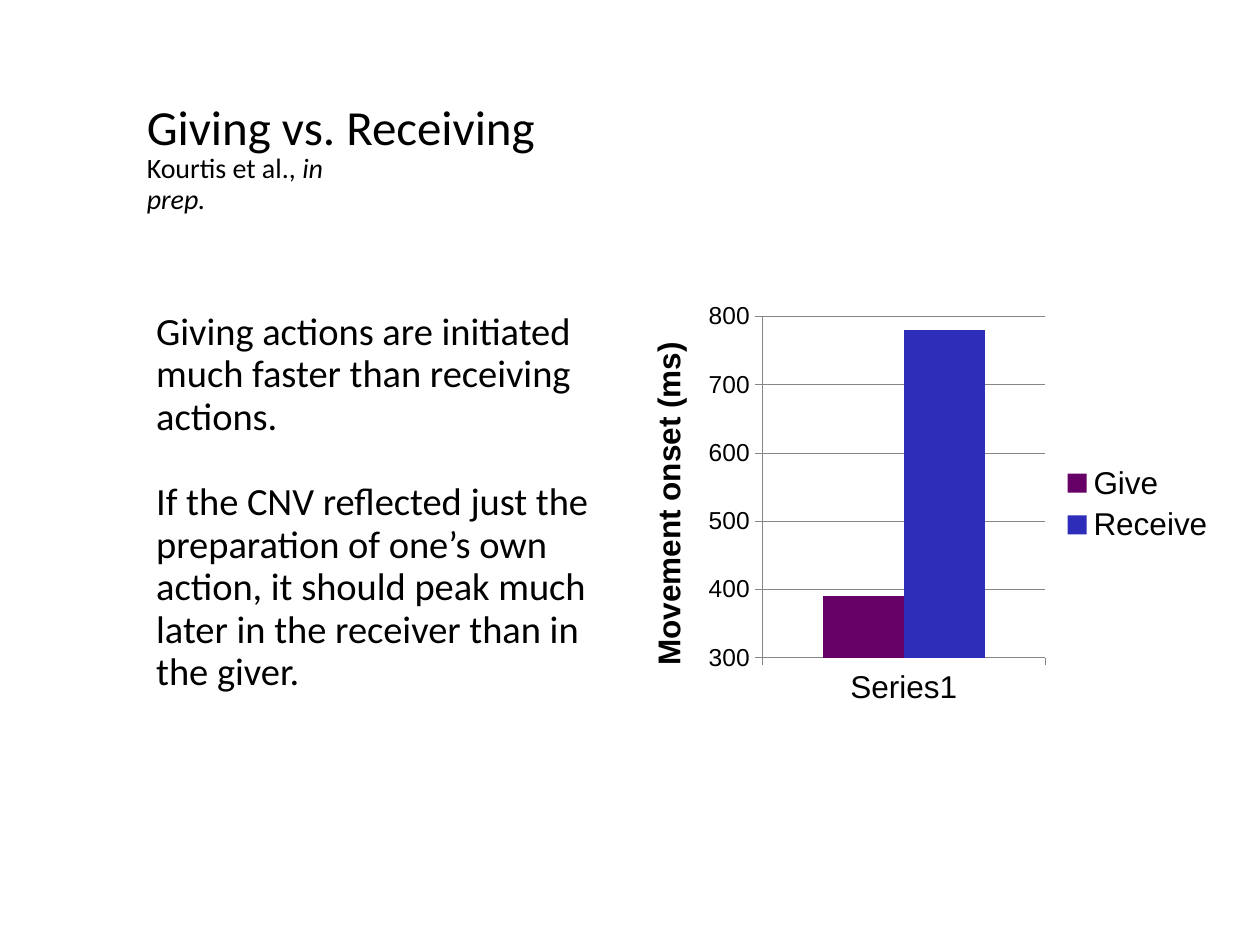
from pptx import Presentation
from pptx.chart.data import CategoryChartData as Data
from pptx.dml.color import RGBColor as Rgb
from pptx.enum.chart import XL_CHART_TYPE as Kind, XL_LEGEND_POSITION as Side, XL_TICK_MARK as Tick
from pptx.enum.text import MSO_ANCHOR as Anchor
from pptx.util import Cm, Pt


def hue(code):
    return Rgb.from_string(code)


class Deck:
    """Holds the style and the current slide, and adds elements to it."""

    face, plot_face = "Calibri", "Arial"
    ink, grid = "000000", "868686"
    lead = 0.92

    def __init__(self, wide, high):
        self.prs = Presentation()
        self.prs.slide_width, self.prs.slide_height = Cm(wide), Cm(high)
        self.slide = self.prs.slides.add_slide(self.prs.slide_layouts[6])

    def style(self, font, size, face, bold=False):
        font.name, font.size, font.bold = face, Pt(size), bold
        font.color.rgb = hue(self.ink)

    def text(self, box, size, paras, anchor=Anchor.TOP, inset=(0, 0), gap=0):
        frame = self.slide.shapes.add_textbox(*map(Cm, box)).text_frame
        frame.word_wrap, frame.vertical_anchor = True, anchor
        frame.margin_left = frame.margin_right = Cm(inset[0])
        frame.margin_top = frame.margin_bottom = Cm(inset[1])
        for i, runs in enumerate(paras):
            para = frame.add_paragraph() if i else frame.paragraphs[0]
            para.line_spacing = self.lead
            if i:
                para.space_before = Pt(gap)
            for words, slant in runs:
                run = para.add_run()
                run.text = words
                self.style(run.font, size, self.face)
                run.font.italic = slant

    def line(self, line):
        line.color.rgb, line.width = hue(self.grid), Pt(0.25)

    def axis(self, axis, size):
        self.style(axis.tick_labels.font, size, self.plot_face)
        axis.major_tick_mark, axis.minor_tick_mark = Tick.OUTSIDE, Tick.NONE
        self.line(axis.format.line)

    def chart(self, box, cat, bars, title, low, high, step):
        data = Data()
        data.categories = [cat]
        for name, value, _ in bars:
            data.add_series(name, [value])
        chart = self.slide.shapes.add_chart(Kind.COLUMN_CLUSTERED, *map(Cm, box), data).chart
        self.style(chart.font, 18, self.plot_face)
        chart.has_title = False
        chart.has_legend = True
        chart.legend.position, chart.legend.include_in_layout = Side.RIGHT, False
        self.style(chart.legend.font, 18, self.plot_face)

        plot = chart.plots[0]
        plot.gap_width, plot.overlap, plot.vary_by_categories = 150, 0, False
        for series, (_, _, color) in zip(plot.series, bars):
            series.format.fill.solid()
            series.format.fill.fore_color.rgb = hue(color)

        self.axis(chart.category_axis, 18)
        scale = chart.value_axis
        self.axis(scale, 14)
        scale.minimum_scale, scale.maximum_scale, scale.major_unit = low, high, step
        scale.has_major_gridlines = True
        self.line(scale.major_gridlines.format.line)
        run = scale.axis_title.text_frame.paragraphs[0].add_run()
        run.text = title
        self.style(run.font, 18, self.plot_face, True)


def main():
    deck = Deck(25.4, 19.05)
    deck.text((2.96, 3.11, 4.45, 1.27), 16, [[("Kourtis et al., ", False), ("in prep.", True)]])
    deck.text((2.96, 2.04, 7.85, 1.12), 28, [[("Giving vs. Receiving", False)]], Anchor.MIDDLE)
    points = [
        "Giving actions are initiated much faster than receiving actions.",
        "If the CNV reflected just the preparation of one’s own action, "
        "it should peak much later in the receiver than in the giver.",
    ]
    deck.text((2.9, 6.15, 10.24, 8.05), 22, [[(words, False)] for words in points],
              inset=(0.25, 0.13), gap=24.3)
    bars = [("Give", 390, "660066"), ("Receive", 780, "2D2DB9")]
    deck.chart((12.49, 5.93, 12.27, 8.46), "Series1", bars, "Movement onset (ms)", 300, 800, 100)
    deck.prs.save("out.pptx")


if __name__ == "__main__":
    main()
